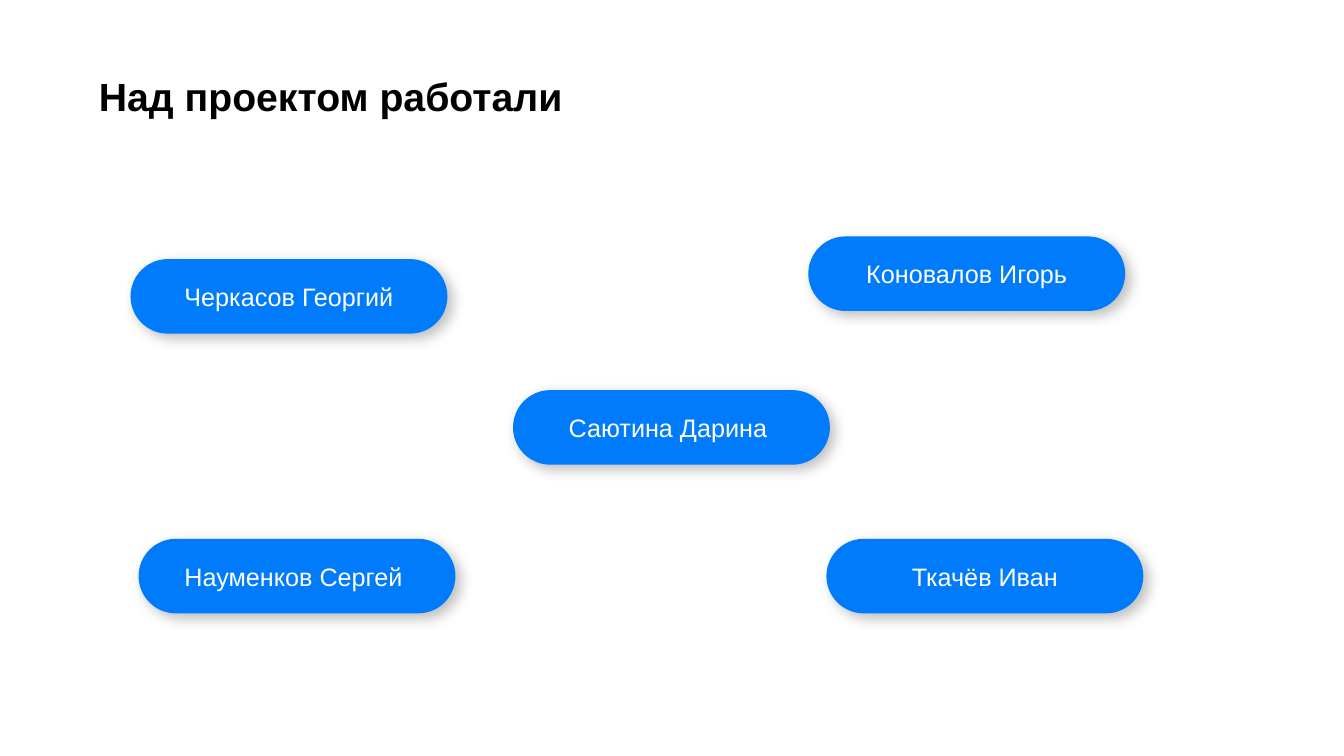
from dataclasses import dataclass

import pptx
import pptx.dml.color
import pptx.enum.shapes
import pptx.enum.text
import pptx.util
from lxml import etree
from pptx.oxml.ns import qn

BLACK = pptx.dml.color.RGBColor(0x00, 0x00, 0x00)
BLUE = pptx.dml.color.RGBColor(0x00, 0x7B, 0xFC)
WHITE = pptx.dml.color.RGBColor(0xFE, 0xFF, 0xFE)

FONT = "Arial"
SLIDE_WIDTH = pptx.util.Inches(26.67)
SLIDE_HEIGHT = pptx.util.Inches(15)

# Places and sizes are percentages of the slide's width and height
BADGE_WIDTH, BADGE_HEIGHT = 23.58, 9.87
LEFT_COLUMN, MIDDLE_COLUMN, RIGHT_COLUMN = 9.71, 38.17, 60.14
BOTTOM_ROW = 71.27


@dataclass
class Member:
    name: str
    left: float
    top: float


TEAM = [
    Member("Черкасов Георгий", LEFT_COLUMN, 34.27),
    Member("Саютина Дарина ", MIDDLE_COLUMN, 51.6),
    Member("Коновалов Игорь", RIGHT_COLUMN, 31.27),
    Member("Науменков Сергей ", LEFT_COLUMN + 0.6, BOTTOM_ROW),
    Member("Ткачёв Иван", RIGHT_COLUMN + 1.35, BOTTOM_ROW),
]


def across(percent: float) -> int:
    return round(SLIDE_WIDTH * percent / 100)


def down(percent: float) -> int:
    return round(SLIDE_HEIGHT * percent / 100)


def write_text(frame, text: str, size: float, color, inset: float, anchor, bold=False) -> None:
    frame.word_wrap = True
    frame.auto_size = pptx.enum.text.MSO_AUTO_SIZE.NONE
    frame.vertical_anchor = anchor
    frame.margin_left = frame.margin_right = pptx.util.Inches(inset)
    frame.margin_top = frame.margin_bottom = pptx.util.Inches(inset)
    paragraph = frame.paragraphs[0]
    paragraph.text = text
    paragraph.alignment = pptx.enum.text.PP_ALIGN.CENTER
    paragraph.font.name = FONT
    paragraph.font.size = pptx.util.Pt(size)
    paragraph.font.bold = bold
    paragraph.font.color.rgb = color


def add_soft_shadow(shape) -> None:
    shape.shadow.inherit = False
    effects = shape._element.spPr.find(qn("a:effectLst"))
    shadow = etree.SubElement(
        effects, qn("a:outerShdw"),
        blurRad=str(pptx.util.Pt(20)), dist=str(pptx.util.Pt(10)),
        dir=str(45 * 60000), algn="ctr", rotWithShape="0",
    )
    color = etree.SubElement(shadow, qn("a:srgbClr"), val=str(BLACK))
    etree.SubElement(color, qn("a:alpha"), val="25000")


def draw_badge(slide, member: Member) -> None:
    badge = slide.shapes.add_shape(
        pptx.enum.shapes.MSO_SHAPE.ROUNDED_RECTANGLE,
        across(member.left), down(member.top), across(BADGE_WIDTH), down(BADGE_HEIGHT),
    )
    badge.adjustments[0] = 0.5
    badge.fill.solid()
    badge.fill.fore_color.rgb = BLUE
    badge.line.fill.background()
    add_soft_shadow(badge)
    write_text(badge.text_frame, member.name, 36, WHITE, 0.1,
               pptx.enum.text.MSO_ANCHOR.MIDDLE)


def draw_title(slide, text: str) -> None:
    title = slide.shapes.title
    title.left, title.top = across(-11.44), down(9.2)
    title.width, title.height = across(72.93), down(16.67)
    write_text(title.text_frame, text, 56, BLACK, 0.06,
               pptx.enum.text.MSO_ANCHOR.TOP, bold=True)


def main() -> None:
    presentation = pptx.Presentation()
    presentation.slide_width = SLIDE_WIDTH
    presentation.slide_height = SLIDE_HEIGHT
    # The "Title Only" layout
    slide = presentation.slides.add_slide(presentation.slide_layouts[5])

    # Heading
    draw_title(slide, "Над проектом работали ")

    # Team members
    for member in TEAM:
        draw_badge(slide, member)

    presentation.save("out.pptx")


if __name__ == "__main__":
    main()
